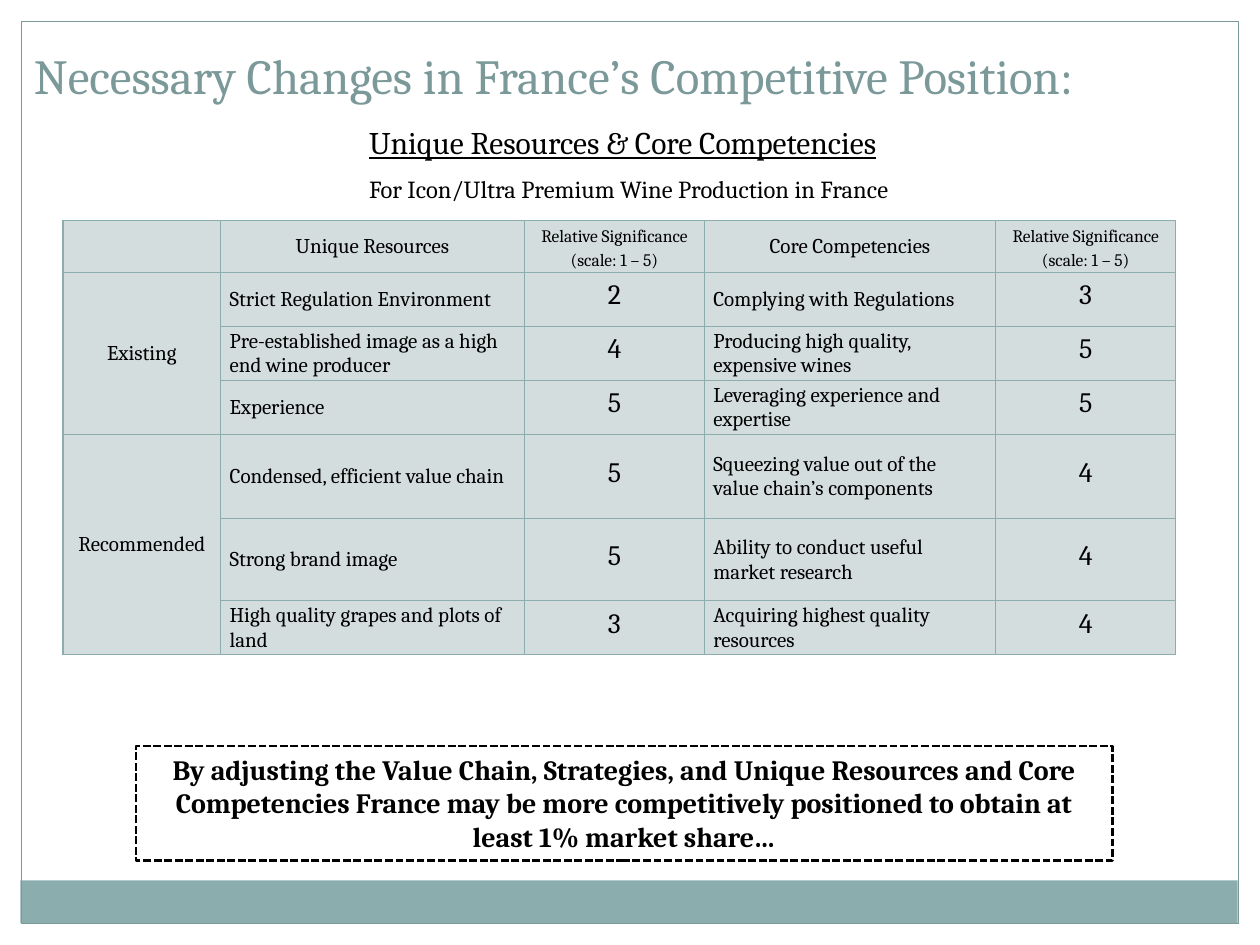
from lxml import etree
from pptx import Presentation
from pptx import util as u
from pptx.dml import color
from pptx.enum import dml, shapes, text
from pptx.oxml import ns

COLORS = {
    "white": "FFFFFF", "black": "000000", "teal": "8CADAE",
    "deep_teal": "7C999A", "cell": "D4DDDE",
}
CENTER, LEFT = text.PP_ALIGN.CENTER, text.PP_ALIGN.LEFT


def rgb(name):
    return color.RGBColor.from_string(COLORS[name])


class SlideBuilder:
    font = "Cambria"

    def __init__(self, slide):
        self.slide = slide

    def set_text(self, frame, content, size, ink="black", align=LEFT,
                 bold=False, underline=False, spacing=None):
        frame.text = content
        for paragraph in frame.paragraphs:
            paragraph.alignment = align
            if spacing:
                paragraph.line_spacing = u.Pt(spacing)
            for run in paragraph.runs:
                run.font.name = self.font
                run.font.size = u.Pt(size)
                run.font.bold = bold
                run.font.underline = underline
                run.font.color.rgb = rgb(ink)

    def title(self, content, box, size):
        shape = self.slide.shapes.title
        shape.left, shape.top, shape.width, shape.height = map(u.Cm, box)
        frame = shape.text_frame
        frame.word_wrap = True
        frame.vertical_anchor = text.MSO_ANCHOR.MIDDLE
        self.set_text(frame, content, size, "deep_teal")

    def rectangle(self, box, fill=None, line=None, width=0.75, dash=None):
        shape = self.slide.shapes.add_shape(
            shapes.MSO_SHAPE.RECTANGLE, *map(u.Cm, box))
        shape.shadow.inherit = False
        if fill:
            shape.fill.solid()
            shape.fill.fore_color.rgb = rgb(fill)
        else:
            shape.fill.background()
        if line:
            shape.line.color.rgb = rgb(line)
            shape.line.width = u.Pt(width)
            if dash:
                shape.line.dash_style = dash
        else:
            shape.line.fill.background()
        return shape

    def label(self, content, box, size, underline=False):
        shape = self.slide.shapes.add_textbox(*map(u.Cm, box))
        shape.text_frame.word_wrap = False
        self.set_text(shape.text_frame, content, size, underline=underline)

    def callout(self, content, box, size):
        shape = self.rectangle(box, "white", "black", 1.5,
                               dml.MSO_LINE.SQUARE_DOT)
        frame = shape.text_frame
        frame.word_wrap = True
        frame.vertical_anchor = text.MSO_ANCHOR.TOP
        self.set_text(frame, content, size, align=CENTER, bold=True)

    def style_cell(self, cell):
        cell.fill.solid()
        cell.fill.fore_color.rgb = rgb("cell")
        cell.margin_left = cell.margin_right = u.Cm(0.18)
        cell.margin_top = cell.margin_bottom = 0
        cell.vertical_anchor = text.MSO_ANCHOR.MIDDLE
        properties = cell._tc.get_or_add_tcPr()
        for index, side in enumerate(("lnL", "lnR", "lnT", "lnB")):
            border = etree.Element(ns.qn(f"a:{side}"), w=str(u.Pt(0.75)))
            fill = etree.SubElement(border, ns.qn("a:solidFill"))
            etree.SubElement(fill, ns.qn("a:srgbClr"), val=COLORS["teal"])
            properties.insert(index, border)

    def table(self, rows, corner, widths, heights, groups):
        table = self.slide.shapes.add_table(
            len(rows), len(widths), *map(u.Cm, corner),
            u.Cm(sum(widths)), u.Cm(sum(heights))).table
        table.first_row = table.horz_banding = False
        for column, width in zip(table.columns, widths):
            column.width = u.Cm(width)
        for row, height in zip(table.rows, heights):
            row.height = u.Cm(height)
        for r, values in enumerate(rows):
            for c, value in enumerate(values):
                cell = table.cell(r, c)
                self.style_cell(cell)
                score = c in (2, 4)
                size = (10 if r == 0 else 16) if score else 12
                align = CENTER if r == 0 or c == 0 or score else LEFT
                self.set_text(cell.text_frame, value, size, align=align,
                              spacing=14)
        for first, last in groups:
            table.cell(first, 0).merge(table.cell(last, 0))


presentation = Presentation()
presentation.slide_width, presentation.slide_height = u.Cm(25.4), u.Cm(19.05)
builder = SlideBuilder(
    presentation.slides.add_slide(presentation.slide_layouts[5]))

builder.rectangle((0.41, 17.75, 24.54, 0.86), fill="teal")
builder.rectangle((0.43, 0.43, 24.54, 18.19), line="deep_teal")
builder.title("Necessary Changes in France’s Competitive Position:",
              (0.43, 0.66, 23.93, 1.7), 28)

SCALE = "Relative Significance (scale: 1 – 5)"
ROWS = [
    ("", "Unique Resources", SCALE, "Core Competencies", SCALE),
    ("Existing", "Strict Regulation Environment", "2",
     "Complying with Regulations", "3"),
    ("", "Pre-established image as a high end wine producer", "4",
     "Producing high quality, expensive wines", "5"),
    ("", "Experience", "5", "Leveraging experience and expertise", "5"),
    ("Recommended", "Condensed, efficient value chain", "5",
     "Squeezing value out of the value chain’s components", "4"),
    ("", "Strong brand image", "5",
     "Ability to conduct useful market research", "4"),
    ("", "High quality grapes and plots of land", "3",
     "Acquiring highest quality resources", "4"),
]
builder.table(ROWS, (1.27, 4.45), (3.18, 6.12, 3.63, 5.87, 3.63),
              (1.04, 1.09, 1.09, 1.09, 1.7, 1.65, 1.09), ((1, 3), (4, 6)))

builder.label("Unique Resources & Core Competencies",
              (7.19, 2.36, 11, 1.02), 18, underline=True)
builder.label("For Icon/Ultra Premium Wine Production in France",
              (7.19, 3.38, 12.14, 0.86), 14)
builder.callout(
    "By adjusting the Value Chain, Strategies, and Unique Resources and Core "
    "Competencies France may be more competitively positioned to obtain at "
    "least 1% market share…", (2.74, 15.04, 19.69, 2.31), 16)

presentation.save("out.pptx")
